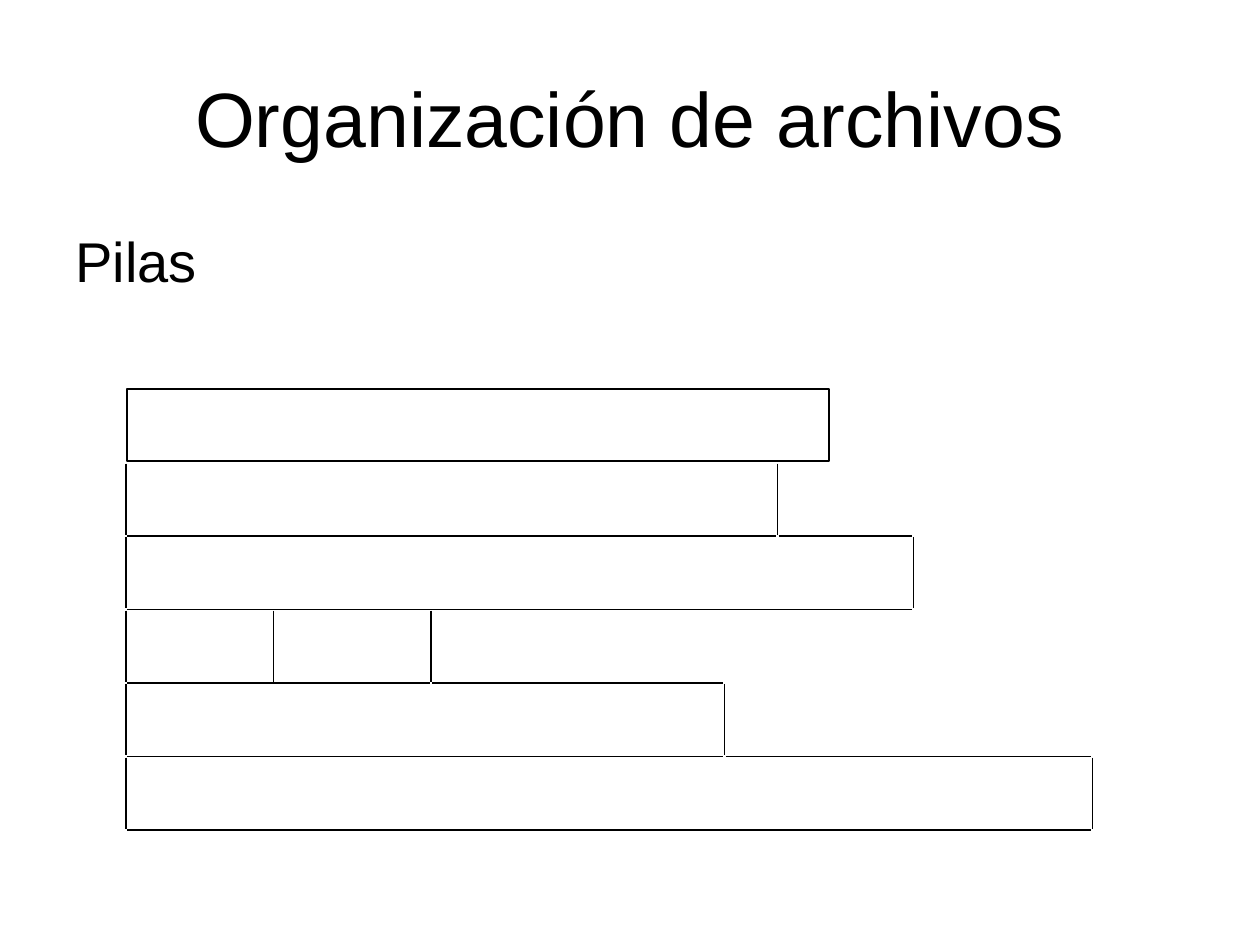
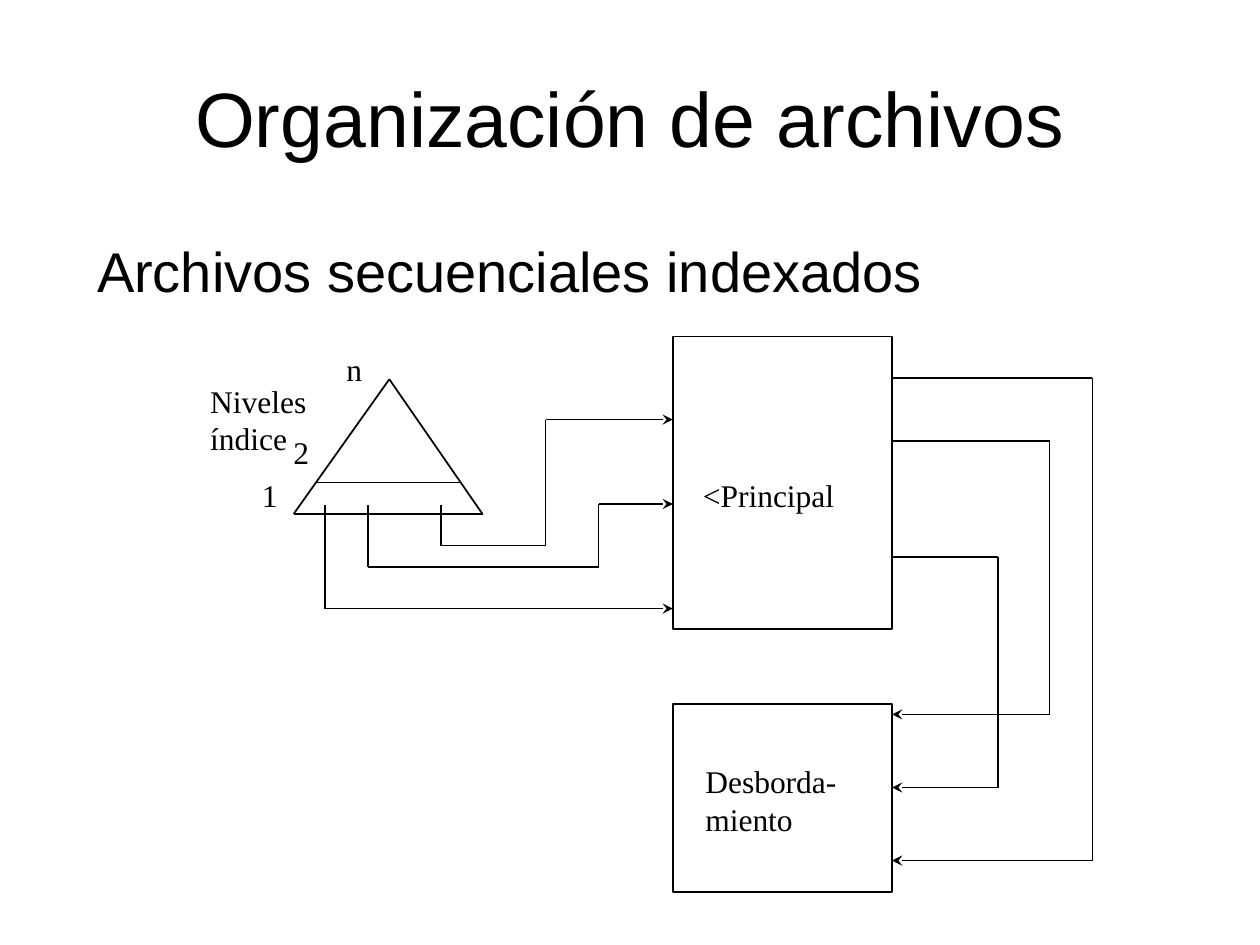
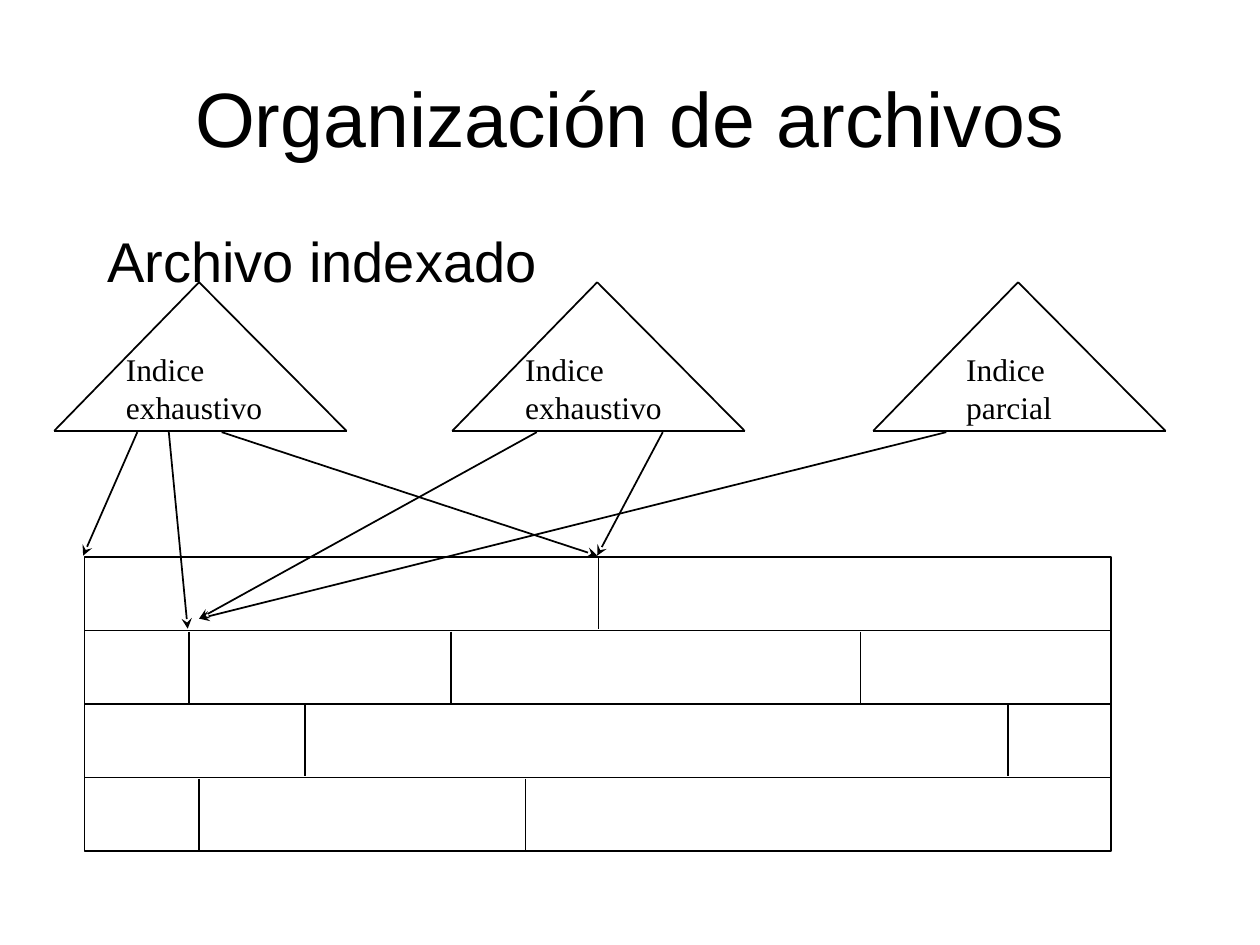
from dataclasses import dataclass
from itertools import pairwise

from pptx import Presentation
from pptx.dml.color import RGBColor
from pptx.enum.shapes import MSO_CONNECTOR as Connector, MSO_SHAPE as Shape
from pptx.enum.text import MSO_ANCHOR as Anchor, MSO_AUTO_SIZE as AutoSize, PP_ALIGN as Align
from pptx.oxml.ns import qn
from pptx.util import Inches, Pt
from lxml.etree import SubElement


@dataclass(frozen=True)
class Theme:
    ink: RGBColor = RGBColor(0, 0, 0)
    heading_font: str = "Arial"
    label_font: str = "Times New Roman"
    title_size: int = 44
    body_size: int = 32
    label_size: int = 18
    line_width: int = 1


THEME = Theme()
TITLE = "Organización de archivos"
ROW_PITCH = 7 / 12


def place(item, left, top, width, height):
    item.left, item.top = Inches(left), Inches(top)
    item.width, item.height = Inches(width), Inches(height)


def style_text(frame, font_name, size):
    for para in frame.paragraphs:
        for span in para.runs:
            span.font.name = font_name
            span.font.size = Pt(size)
            span.font.color.rgb = THEME.ink


def style_line(item):
    item.line.color.rgb = THEME.ink
    item.line.width = Pt(THEME.line_width)


def add_page(deck, topic, left, top, width, height):
    page = deck.slides.add_slide(deck.slide_layouts[1])
    title = page.shapes.title
    place(title, 0.5, 0.3, 9, 1.25)
    title.text_frame.text = TITLE
    title.text_frame.vertical_anchor = Anchor.MIDDLE
    title.text_frame.paragraphs[0].alignment = Align.CENTER
    style_text(title.text_frame, THEME.heading_font, THEME.title_size)

    body = page.placeholders[1]
    place(body, left, top, width, height)
    body.text_frame.text = topic
    para = body.text_frame.paragraphs[0]
    para.space_before = Pt(0)
    properties = para._p.get_or_add_pPr()
    properties.set("marL", str(Inches(0.38)))
    properties.set("indent", str(Inches(-0.38)))
    SubElement(properties, qn("a:buNone"))
    style_text(body.text_frame, THEME.heading_font, THEME.body_size)
    for frame in (title.text_frame, body.text_frame):
        frame.auto_size = AutoSize.NONE
    return page


def add_box(page, left, top, width, height):
    box = page.shapes.add_shape(
        Shape.RECTANGLE, Inches(left), Inches(top), Inches(width), Inches(height))
    box.shadow.inherit = False
    box.fill.background()
    style_line(box)


def add_line(page, start, end, arrow=False):
    x1, y1, x2, y2 = (Inches(value) for value in (*start, *end))
    line = page.shapes.add_connector(Connector.STRAIGHT, x1, y1, x2, y2)
    style_line(line)
    SubElement(line._element.spPr, qn("a:effectLst"))
    if arrow:
        SubElement(line.line._get_or_add_ln(), qn("a:tailEnd"), type="stealth")


def add_route(page, *points):
    for start, end in pairwise(points):
        add_line(page, start, end, arrow=end == points[-1])


def add_triangle(page, left, right, apex, base):
    add_line(page, (left, base), (right, base))
    for corner in (left, right):
        add_line(page, (corner, base), apex)


def add_label(page, text, left, top, width, height=0.4):
    box = page.shapes.add_textbox(
        Inches(left), Inches(top), Inches(width), Inches(height))
    frame = box.text_frame
    frame.text = text
    frame.word_wrap = False
    frame.auto_size = AutoSize.SHAPE_TO_FIT_TEXT
    style_text(frame, THEME.label_font, THEME.label_size)


def build_piles(deck):
    page = add_page(deck, "Pilas", 0.5, 1.75, 9, 4.95)
    left, top = 1, 3.67
    add_box(page, 1.01, 3.09, 5.57, 0.57)
    record_ends = [6.17, 7.25, 3.42, 5.75, 8.67]
    for row, (end, next_end) in enumerate(zip(record_ends, record_ends[1:] + [0])):
        row_top = top + row * ROW_PITCH
        bottom = row_top + ROW_PITCH
        for x in (left, end):
            add_line(page, (x, row_top + 0.01), (x, bottom - 0.01))
        add_line(page, (left + 0.01, bottom), (end - 0.01, bottom))
        if next_end > end:
            add_line(page, (end + 0.01, bottom), (next_end - 0.01, bottom))
    field_top = top + 2 * ROW_PITCH
    add_line(page, (2.17, field_top + 0.01), (2.17, field_top + ROW_PITCH - 0.01))


def build_indexed_sequential(deck):
    page = add_page(deck, "Archivos secuenciales indexados", 0.67, 1.83, 8.5, 4.5)
    area_left, area_width = 5.34, 1.74
    area_right = area_left + area_width
    add_box(page, area_left, 2.67, area_width, 2.32)
    add_box(page, area_left, 5.59, area_width, 1.49)
    add_triangle(page, 2.33, 3.83, (3.09, 3.01), 4.08)
    add_line(page, (2.5, 3.83), (3.67, 3.83))

    add_label(page, "Niveles\níndice", 1.57, 2.98, 1.02, 0.7)
    for level, left, top in (("1", 1.98, 3.73), ("2", 2.23, 3.39), ("n", 2.65, 2.73)):
        add_label(page, level, left, top, 0.32)
    add_label(page, "<Principal", 5.48, 3.73, 1.24)
    add_label(page, "Desborda-\nmiento", 5.5, 6, 1.24, 0.7)

    index_y = 4.01
    add_route(page, (2.58, index_y), (2.58, 4.83), (area_left, 4.83))
    for x, low_y, turn_x, target_y in ((2.92, 4.5, 4.75, 4), (3.5, 4.33, 4.33, 3.33)):
        add_route(page, (x, index_y), (x, low_y), (turn_x, low_y),
                  (turn_x, target_y), (area_left, target_y))
    for start_y, turn_x, end_y in ((3, 8.67, 6.83), (3.5, 8.33, 5.67), (4.42, 7.92, 6.25)):
        add_route(page, (area_right, start_y), (turn_x, start_y),
                  (turn_x, end_y), (area_right, end_y))


def build_indexed(deck):
    page = add_page(deck, "Archivo indexado", 0.75, 1.75, 8.5, 4.5)
    left, top, width = 0.67, 4.42, 8.15
    dividers = [(4.75,), (1.5, 3.58, 6.83), (2.42, 8), (1.58, 4.17)]
    add_box(page, left, top, width, len(dividers) * ROW_PITCH)
    for row, positions in enumerate(dividers):
        row_top = top + row * ROW_PITCH
        if row:
            add_line(page, (left, row_top), (left + width, row_top))
        for x in positions:
            add_line(page, (x, row_top + 0.01), (x, row_top + ROW_PITCH - 0.01))

    base = 3.42
    indexes = (
        ("Indice\nexhaustivo", 0.43, 0.9, 1.28),
        ("Indice\nexhaustivo", 3.59, 4.07, 1.28),
        ("Indice\nparcial", 6.93, 7.57, 0.88),
    )
    for text, corner, label_left, label_width in indexes:
        add_triangle(page, corner, corner + 2.32, (corner + 1.15, 2.24), base)
        add_label(page, text, label_left, 2.73, label_width, 0.7)

    first, second, third, shared = (0.66, 4.41), (1.49, 4.99), (4.74, 4.41), (1.58, 4.91)
    pointers = ((1.09, first), (1.34, second), (1.76, third),
                (4.26, shared), (5.26, third), (7.51, shared))
    for x, record in pointers:
        add_line(page, (x, base + 0.01), record, arrow=True)


def main():
    deck = Presentation()
    deck.slide_width, deck.slide_height = Inches(10), Inches(7.5)
    build_piles(deck)
    build_indexed_sequential(deck)
    build_indexed(deck)
    deck.save("out.pptx")


if __name__ == "__main__":
    main()
